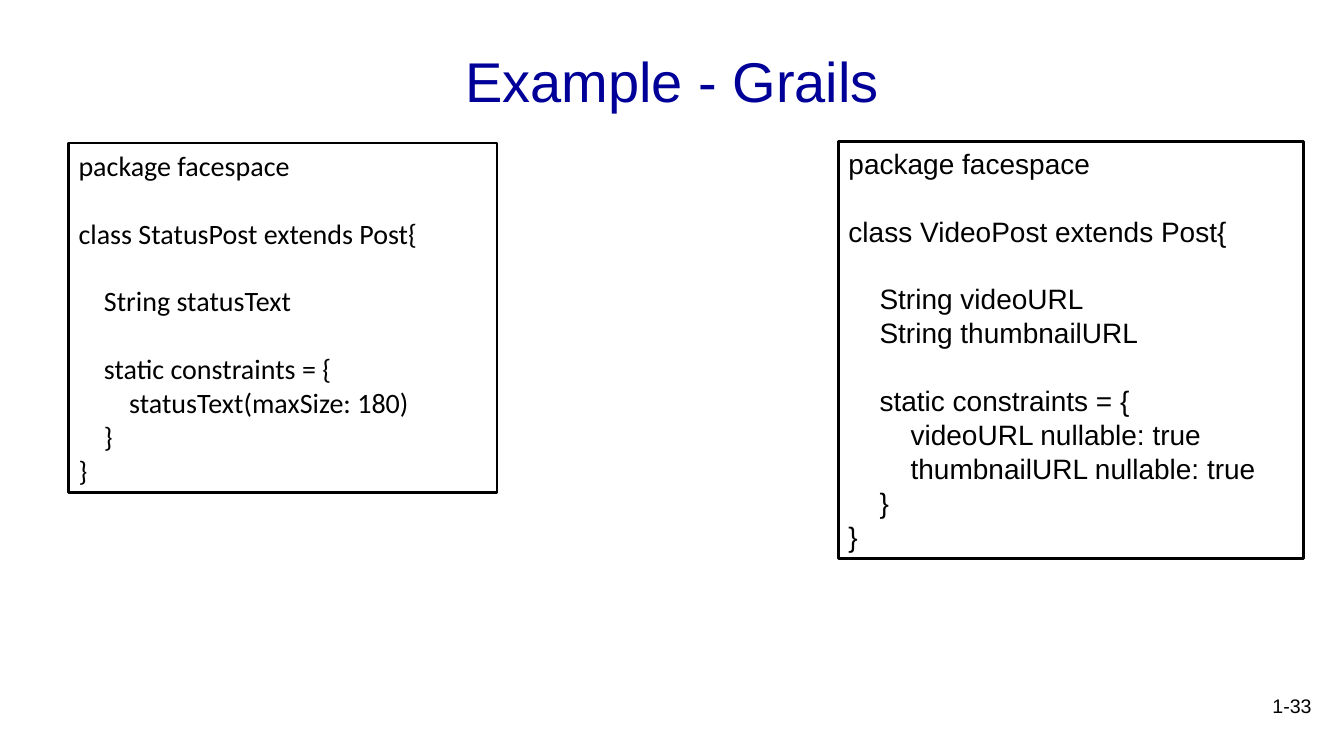
"""Build the "Example - Grails" slide with two class listings."""
from dataclasses import dataclass

from pptx import Presentation
from pptx.dml.color import RGBColor
from pptx.enum.shapes import MSO_SHAPE
from pptx.enum.text import MSO_ANCHOR, MSO_AUTO_SIZE, PP_ALIGN
from pptx.slide import Slide
from pptx.text.text import _Paragraph as Paragraph
from pptx.util import Pt

NAVY = RGBColor(0x00, 0x00, 0x99)
BLACK = RGBColor(0x00, 0x00, 0x00)
WHITE = RGBColor(0xFF, 0xFF, 0xFF)
LINE_PITCH = 24.2


@dataclass(frozen=True)
class CodeLine:
    text: str
    level: int = 0
    gap_before: bool = False


@dataclass(frozen=True)
class Listing:
    left: float
    top: float
    width: float
    height: float
    font: str
    indent: float
    lines: tuple[CodeLine, ...]


LISTINGS = (
    Listing(49, 102.2, 306, 249.8, "Calibri", 18.1, (
        CodeLine("package facespace"),
        CodeLine("class StatusPost extends Post{", gap_before=True),
        CodeLine("String statusText", 1, True),
        CodeLine("static constraints = {", 1, True),
        CodeLine("statusText(maxSize: 180)", 2),
        CodeLine("}", 1),
        CodeLine("}"),
    )),
    Listing(599, 100.8, 332, 298, "Arial", 22.2, (
        CodeLine("package facespace"),
        CodeLine("class VideoPost extends Post{", gap_before=True),
        CodeLine("String videoURL", 1, True),
        CodeLine("String thumbnailURL", 1),
        CodeLine("static constraints = {", 1, True),
        CodeLine("videoURL nullable: true", 2),
        CodeLine("thumbnailURL nullable: true", 2),
        CodeLine("}", 1),
        CodeLine("}"),
    )),
)


def style(paragraph: Paragraph, align: PP_ALIGN, font: str, size: float,
          color: RGBColor) -> None:
    paragraph.alignment = align
    paragraph.font.name = font
    paragraph.font.size = Pt(size)
    paragraph.font.color.rgb = color


def add_listing(slide: Slide, listing: Listing) -> None:
    box = slide.shapes.add_shape(
        MSO_SHAPE.RECTANGLE, Pt(listing.left), Pt(listing.top),
        Pt(listing.width), Pt(listing.height))
    box.shadow.inherit = False
    box.fill.solid()
    box.fill.fore_color.rgb = WHITE
    box.line.color.rgb = BLACK
    box.line.width = Pt(2)
    code = box.text_frame
    code.word_wrap = True
    code.vertical_anchor = MSO_ANCHOR.TOP
    code.auto_size = MSO_AUTO_SIZE.SHAPE_TO_FIT_TEXT
    for number, line in enumerate(listing.lines):
        paragraph = code.add_paragraph() if number else code.paragraphs[0]
        paragraph.text = line.text
        style(paragraph, PP_ALIGN.LEFT, listing.font, 20, BLACK)
        paragraph.line_spacing = Pt(LINE_PITCH)
        paragraph.space_before = Pt(LINE_PITCH if line.gap_before else 0)
        margin = Pt(listing.indent * line.level)
        paragraph._p.get_or_add_pPr().set("marL", str(margin))


def main() -> None:
    deck = Presentation()
    deck.slide_width, deck.slide_height = Pt(960), Pt(540)
    slide = deck.slides.add_slide(deck.slide_layouts[5])

    title = slide.shapes.title
    title.left, title.top = Pt(72), Pt(12)
    title.width, title.height = Pt(816), Pt(90)
    title.text_frame.text = "Example - Grails"
    title.text_frame.vertical_anchor = MSO_ANCHOR.MIDDLE
    style(title.text_frame.paragraphs[0], PP_ALIGN.CENTER, "Arial", 40, NAVY)

    page_number = slide.shapes.add_textbox(Pt(744), Pt(492), Pt(200), Pt(36))
    page_number.text_frame.word_wrap = True
    page_number.text_frame.text = "1-33"
    style(page_number.text_frame.paragraphs[0], PP_ALIGN.RIGHT, "Arial", 14, BLACK)

    for listing in LISTINGS:
        add_listing(slide, listing)
    deck.save("out.pptx")


if __name__ == "__main__":
    main()
